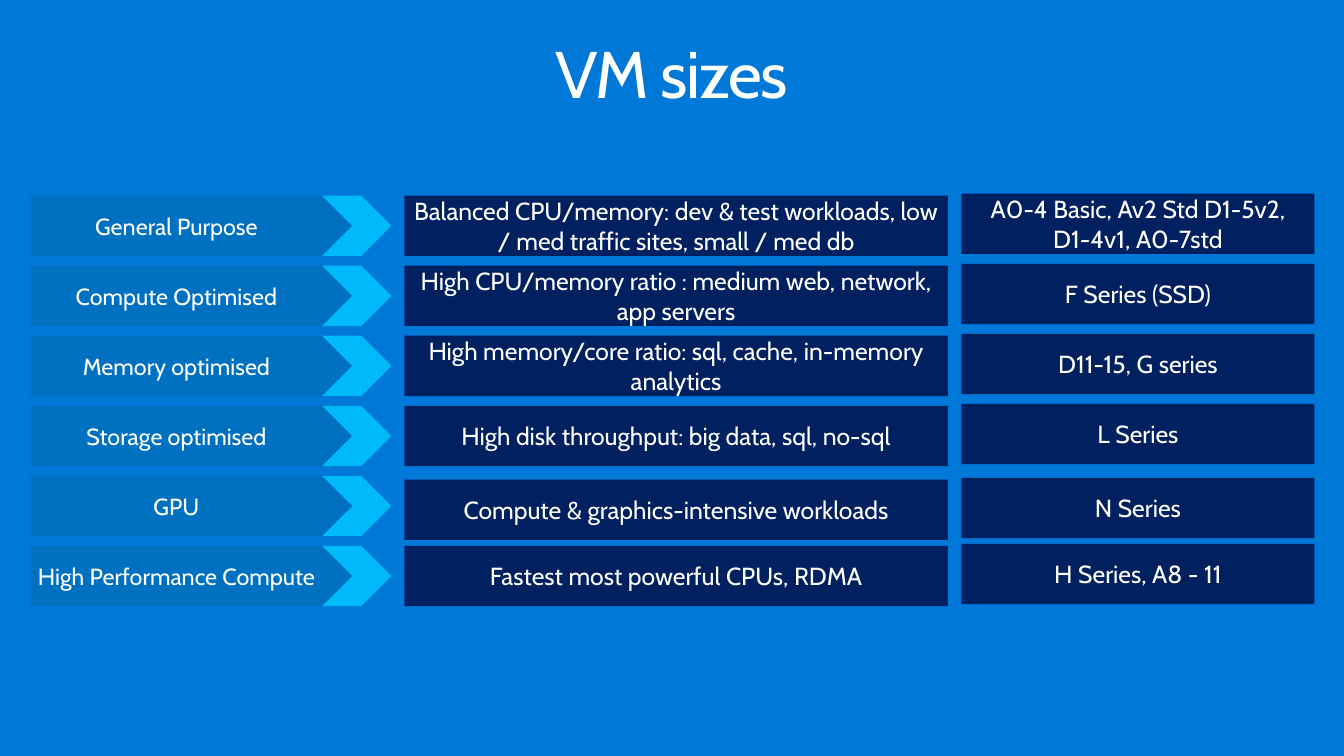
from dataclasses import dataclass

from pptx import Presentation
from pptx.dml.color import RGBColor
from pptx.enum.shapes import MSO_SHAPE
from pptx.enum.text import MSO_ANCHOR, PP_ALIGN
from pptx.shapes.autoshape import Shape
from pptx.slide import Slide
from pptx.text.text import TextFrame
from pptx.util import Cm, Pt

RECTANGLE = MSO_SHAPE.RECTANGLE
CHEVRON = MSO_SHAPE.CHEVRON
CENTER = PP_ALIGN.CENTER
TOP = MSO_ANCHOR.TOP
MIDDLE = MSO_ANCHOR.MIDDLE

COLORS = {
    "background": "0078D7",
    "category": "0070C0",
    "chevron": "00B9FA",
    "detail": "002060",
    "text": "FFFFFF",
}
FONT_NAME = "Cabin"
FIRST_ROW_TOP = 5.03
ROW_PITCH = 1.8
ROW_HEIGHT = 1.55


@dataclass(frozen=True)
class Column:
    left: float
    width: float
    color: str
    preset: MSO_SHAPE = RECTANGLE
    font_size: float = 18
    shift: float = 0
    margin_left: float = 0.25
    margin_right: float = 0.25


@dataclass(frozen=True)
class SizeFamily:
    category: str
    workload: str
    series: str
    detail_shift: float = 0


# The right margin keeps the category labels clear of the chevrons.
CATEGORY = Column(0.79, 8.41, "category", font_size=17, margin_left=0.1, margin_right=1.02)
ARROW = Column(8.28, 1.78, "chevron", preset=CHEVRON)
WORKLOAD = Column(10.39, 13.97, "detail")
SERIES = Column(24.71, 9.07, "detail", shift=-0.05)

SIZE_FAMILIES = [
    SizeFamily(
        "General Purpose",
        "Balanced CPU/memory: dev & test workloads, low / med traffic sites, small / med db",
        "A0-4 Basic, Av2 Std D1-5v2, D1-4v1, A0-7std",
    ),
    SizeFamily(
        "Compute Optimised",
        "High CPU/memory ratio : medium web, network, app servers",
        "F Series (SSD)",
    ),
    SizeFamily(
        "Memory optimised",
        "High memory/core ratio: sql, cache, in-memory analytics",
        "D11-15, G series",
    ),
    SizeFamily("Storage optimised", "High disk throughput: big data, sql, no-sql", "L Series"),
    SizeFamily("GPU", "Compute & graphics-intensive workloads", "N Series", detail_shift=0.1),
    SizeFamily("High Performance Compute", "Fastest most powerful CPUs, RDMA", "H Series, A8 - 11"),
]


def write_centered(frame: TextFrame, text: str, font_size: float, frame_format: dict) -> None:
    for name, value in frame_format.items():
        setattr(frame, name, value)
    paragraph = frame.paragraphs[0]
    paragraph.alignment = CENTER
    run = paragraph.add_run()
    run.text = text
    for name, value in {"name": FONT_NAME, "size": Pt(font_size)}.items():
        setattr(run.font, name, value)
    run.font.color.rgb = RGBColor.from_string(COLORS["text"])


def add_title(slide: Slide, text: str) -> None:
    box = slide.shapes.add_textbox(Cm(0.76), Cm(0.81), Cm(33.02), Cm(2.54))
    frame_format = {
        "word_wrap": True,
        "vertical_anchor": TOP,
        "margin_left": Cm(0.41),
        "margin_right": Cm(0.41),
        "margin_top": Cm(0.25),
        "margin_bottom": Cm(0.25),
    }
    write_centered(box.text_frame, text, 48, frame_format)
    paragraph = box.text_frame.paragraphs[0]
    paragraph.line_spacing = 0.9
    paragraph.runs[0]._r.get_or_add_rPr().set("spc", "-100")


def add_cell(slide: Slide, column: Column, top: float) -> Shape:
    shape = slide.shapes.add_shape(
        column.preset, Cm(column.left), Cm(top + column.shift), Cm(column.width), Cm(ROW_HEIGHT)
    )
    shape.shadow.inherit = False
    shape.fill.solid()
    shape.fill.fore_color.rgb = RGBColor.from_string(COLORS[column.color])
    shape.line.fill.background()
    return shape


def add_text_cell(slide: Slide, column: Column, top: float, text: str) -> None:
    shape = add_cell(slide, column, top)
    frame_format = {
        "word_wrap": True,
        "vertical_anchor": MIDDLE,
        "margin_left": Cm(column.margin_left),
        "margin_right": Cm(column.margin_right),
        "margin_top": Cm(0),
        "margin_bottom": Cm(0),
    }
    write_centered(shape.text_frame, text, column.font_size, frame_format)


def add_family_row(slide: Slide, family: SizeFamily, top: float) -> None:
    detail_top = top + family.detail_shift
    add_text_cell(slide, CATEGORY, top, family.category)
    add_cell(slide, ARROW, top)
    add_text_cell(slide, WORKLOAD, detail_top, family.workload)
    add_text_cell(slide, SERIES, detail_top, family.series)


def main() -> None:
    presentation = Presentation()
    presentation.slide_width = Cm(34.54)
    presentation.slide_height = Cm(19.43)
    slide = presentation.slides.add_slide(presentation.slide_layouts[6])
    slide.background.fill.solid()
    slide.background.fill.fore_color.rgb = RGBColor.from_string(COLORS["background"])
    add_title(slide, "VM sizes")
    for index, family in enumerate(SIZE_FAMILIES):
        add_family_row(slide, family, FIRST_ROW_TOP + index * ROW_PITCH)
    presentation.save("out.pptx")


if __name__ == "__main__":
    main()
